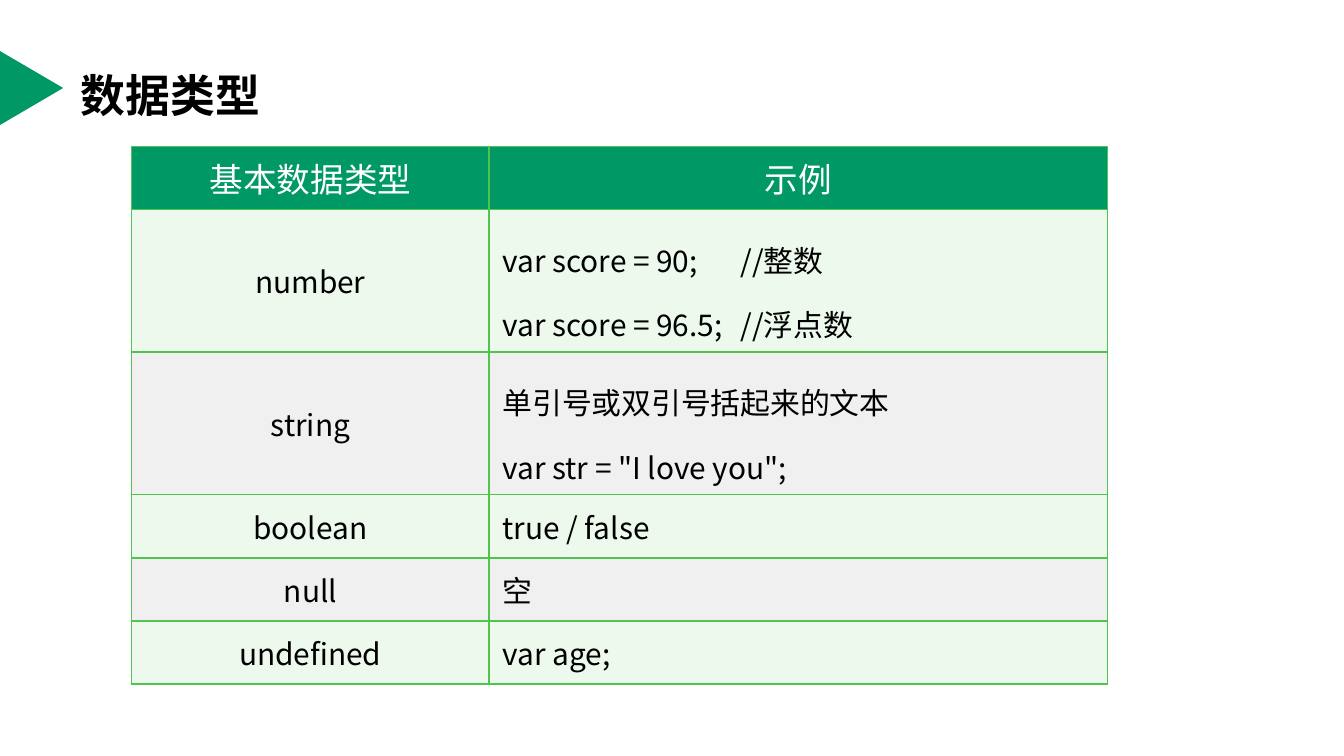
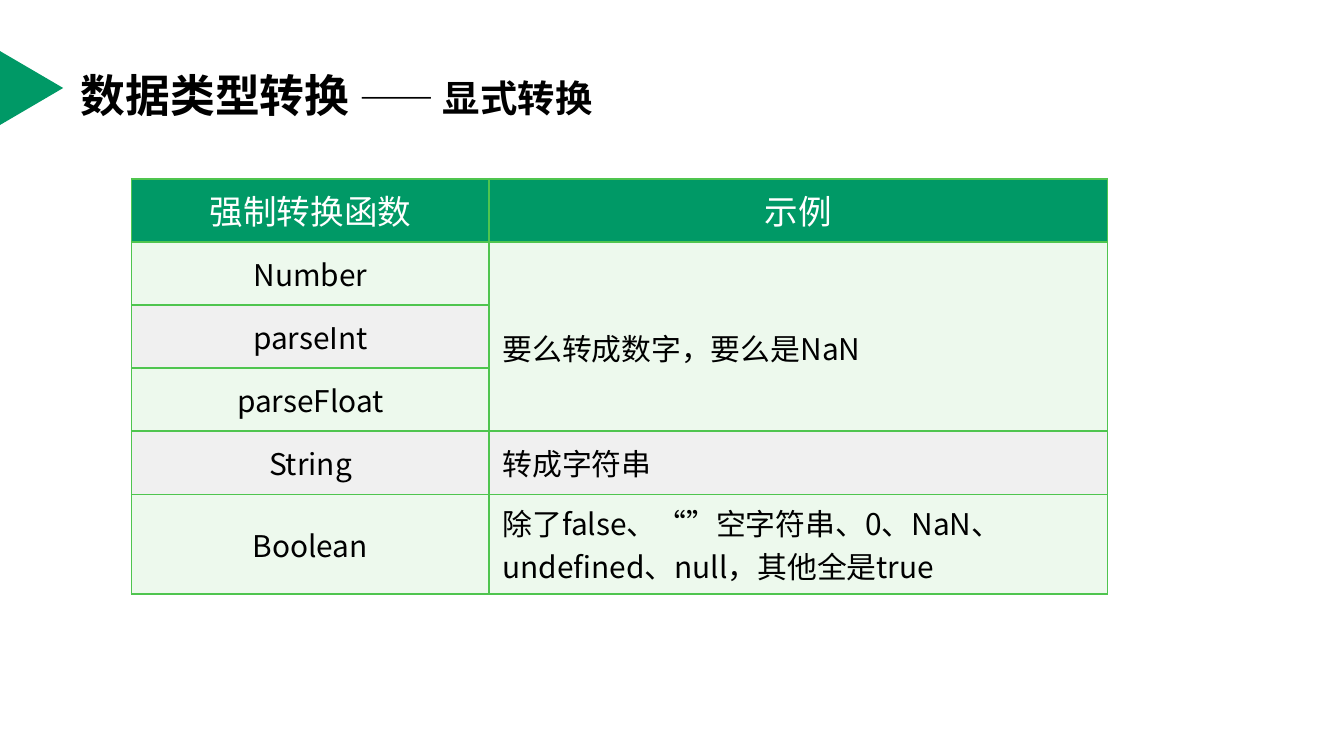
from lxml import etree
from pptx import Presentation
from pptx.dml.color import RGBColor
from pptx.enum import shapes, text
from pptx.oxml import ns
from pptx.util import Inches, Pt

FONT = "Noto Sans CJK SC"
GREEN, BORDER = "009966", "4FC54F"
BLACK, WHITE = "000000", "FFFFFF"
BANDS = ("EDF9ED", "F0F0F0")
COLUMNS = (2.66, 4.6)
ROW = 0.47
COMMENT_TAB = 1.77


def rgb(value):
    return RGBColor.from_string(value)


def style(p, color, size=None, bold=False):
    p.font.name = FONT
    p.font.color.rgb = rgb(color)
    p.font.bold = bold
    if size:
        p.font.size = Pt(size)
    for latin in list(p._p.iter(ns.qn("a:latin"))):
        ea = etree.Element(ns.qn("a:ea"), typeface=FONT)
        latin.addnext(ea)


def add_marker(s):
    sp = s.shapes.add_shape(shapes.MSO_SHAPE.ISOSCELES_TRIANGLE,
                            Inches(-0.04), Inches(0.42), Inches(0.55), Inches(0.47))
    sp.rotation = 90
    sp.shadow.inherit = False
    sp.fill.solid()
    sp.fill.fore_color.rgb = rgb(GREEN)
    sp.line.fill.background()


def set_title(s, parts):
    sp = s.shapes.title
    sp.left, sp.top = Inches(0.5), Inches(0.23)
    sp.width, sp.height = Inches(9), Inches(0.94)
    tf = sp.text_frame
    tf.vertical_anchor = text.MSO_ANCHOR.MIDDLE
    p = tf.paragraphs[0]
    p.alignment = text.PP_ALIGN.LEFT
    for words, size in parts:
        r = p.add_run()
        r.text = words
        r.font.size = Pt(size)
    style(p, BLACK, bold=True)


def add_slide(prs, parts):
    s = prs.slides.add_slide(prs.slide_layouts[5])
    add_marker(s)
    set_title(s, parts)
    return s


def set_borders(cell):
    tc_pr = cell._tc.get_or_add_tcPr()
    for i, side in enumerate(("lnL", "lnR", "lnT", "lnB")):
        ln = etree.Element(ns.qn(f"a:{side}"), w=str(Pt(1)))
        fill = etree.SubElement(ln, ns.qn("a:solidFill"))
        etree.SubElement(fill, ns.qn("a:srgbClr"), val=BORDER)
        tc_pr.insert(i, ln)


def add_tab_stop(p, position):
    tabs = etree.SubElement(p._p.get_or_add_pPr(), ns.qn("a:tabLst"))
    etree.SubElement(tabs, ns.qn("a:tab"), pos=str(Inches(position)), algn="l")


def fill_cell(cell, words, fill, color, size, centered, spacing):
    cell.fill.solid()
    cell.fill.fore_color.rgb = rgb(fill)
    set_borders(cell)
    cell.vertical_anchor = text.MSO_ANCHOR.MIDDLE
    cell.text = words
    for p in cell.text_frame.paragraphs:
        if "\t" in p.text:
            add_tab_stop(p, COMMENT_TAB)
        p.alignment = text.PP_ALIGN.CENTER if centered else text.PP_ALIGN.LEFT
        if spacing:
            p.line_spacing = spacing
        style(p, color, size)


def add_type_table(s, top, rows, heights, spaced_rows):
    frame = s.shapes.add_table(len(rows), len(COLUMNS), Inches(0.98), Inches(top),
                               Inches(sum(COLUMNS)), Inches(sum(heights)))
    table = frame.table
    table.horz_banding = False
    for column, width in zip(table.columns, COLUMNS):
        column.width = Inches(width)
    for i, (row, height) in enumerate(zip(rows, heights)):
        table.rows[i].height = Inches(height)
        header = i == 0
        fill = GREEN if header else BANDS[(i - 1) % 2]
        color, size = (WHITE, 18) if header else (BLACK, 16)
        for j, words in enumerate(row):
            spacing = 1.5 if j == 1 and i in spaced_rows else None
            fill_cell(table.cell(i, j), words, fill, color, size, header or j == 0, spacing)
    return table


def main():
    prs = Presentation()
    prs.slide_width = Inches(10)
    prs.slide_height = prs.slide_width * 9 // 16

    s = add_slide(prs, [("数据类型", 24)])
    add_type_table(s, 1.09, [
        ("基本数据类型", "示例"),
        ("number", "var score = 90;\t//整数\nvar score = 96.5;\t//浮点数"),
        ("string", "单引号或双引号括起来的文本\nvar str = \"I love you\";"),
        ("boolean", "true / false"),
        ("null", "空"),
        ("undefined", "var age;"),
    ], [ROW, ROW, 0.9, ROW, ROW, ROW], (1, 2))

    s = add_slide(prs, [("数据类型转换 ", 24), ("—— 显式转换", 20)])
    table = add_type_table(s, 1.33, [
        ("强制转换函数", "示例"),
        ("Number", "要么转成数字，要么是NaN"),
        ("parseInt", ""),
        ("parseFloat", ""),
        ("String", "转成字符串"),
        ("Boolean", "除了false、“”空字符串、0、NaN、undefined、null，其他全是true"),
    ], [ROW] * 6, (1,))
    table.cell(1, 1).merge(table.cell(3, 1))

    prs.save("out.pptx")


if __name__ == "__main__":
    main()
